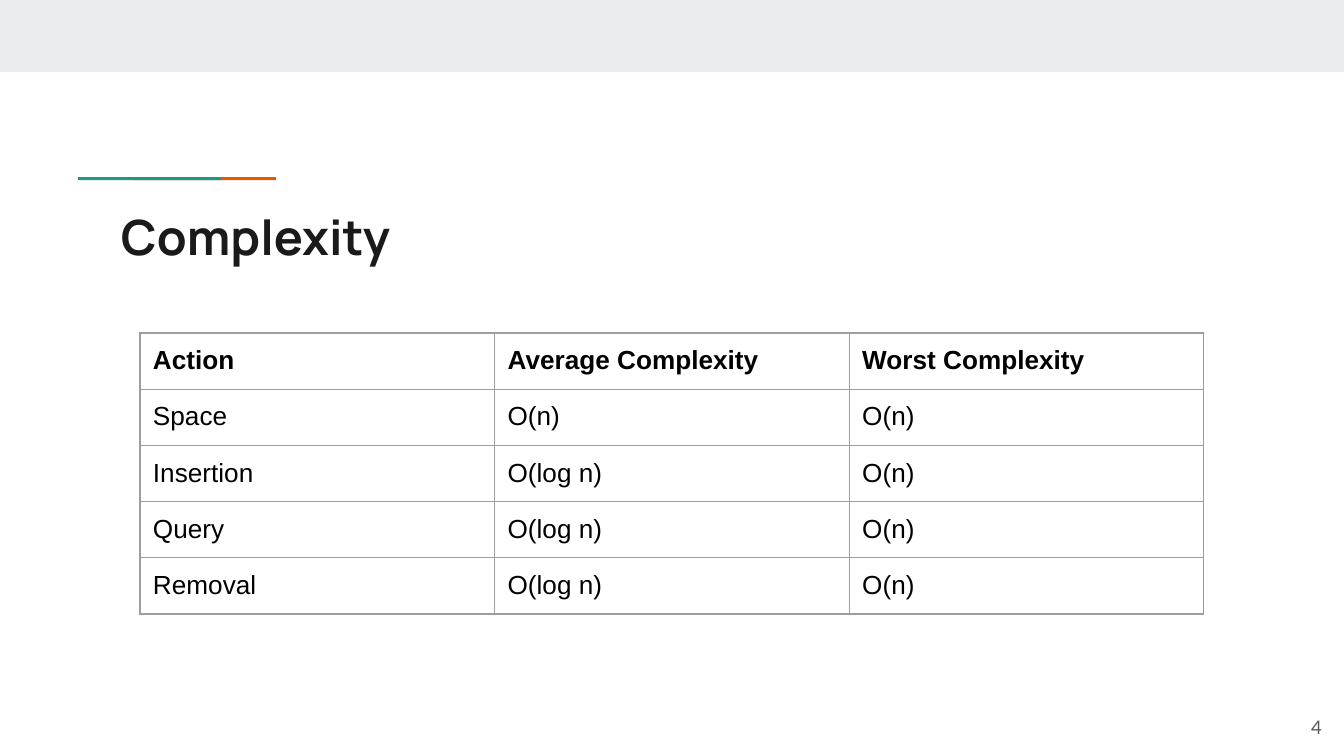
from dataclasses import dataclass

from lxml.etree import SubElement
from pptx import Presentation
from pptx.dml.color import RGBColor
from pptx.enum.shapes import MSO_SHAPE as Shape
from pptx.enum.text import MSO_ANCHOR as Anchor, PP_ALIGN as Align
from pptx.oxml.ns import qn
from pptx.slide import Slide
from pptx.table import _Cell as Cell
from pptx.text.text import TextFrame, _Paragraph as Para
from pptx.util import Emu, Pt

SCALE = 914400 / 134.4  # EMU in one px

MIST = RGBColor(0xE9, 0xED, 0xEE)
TEAL = RGBColor(0x1A, 0x99, 0x88)
ORANGE = RGBColor(0xEB, 0x56, 0x00)
INK = RGBColor(0x1A, 0x1A, 0x1A)
BLACK = RGBColor(0x00, 0x00, 0x00)
GREY = RGBColor(0x59, 0x59, 0x59)
RULE = RGBColor(0x9E, 0x9E, 0x9E)


def px(n: int) -> Emu:
    return Emu(round(n * SCALE))


PAD = px(13)
FOOT = px(11)  # less room below, so that rows keep their height


@dataclass(frozen=True)
class Box:
    left: int
    top: int
    width: int
    height: int

    def emu(self) -> tuple[Emu, ...]:
        return tuple(map(px, (self.left, self.top, self.width, self.height)))


@dataclass(frozen=True)
class Bar:
    box: Box
    color: RGBColor
    turn: int = 0


@dataclass(frozen=True)
class Style:
    font: str
    size: int
    color: RGBColor
    bold: bool = False


@dataclass(frozen=True)
class Label:
    text: str
    box: Box
    style: Style
    align: Align = Align.LEFT
    anchor: Anchor = Anchor.TOP


BARS = [
    Bar(Box(0, 0, 1344, 72), MIST),
    Bar(Box(203, 107, 3, 143), ORANGE, 270),
    Bar(Box(148, 107, 3, 143), TEAL, 270),
]
LABELS = [
    Label("Complexity", Box(108, 194, 1130, 79), Style("Manrope", 26, INK, True)),
    Label("4", Box(1254, 698, 81, 58), Style("Lato", 10, GREY),
          Align.RIGHT, Anchor.MIDDLE),
]
HEAD = Style("Arial", 14, BLACK, True)
BODY = Style("Arial", 14, BLACK)
ROWS = [
    ("Action", "Average Complexity", "Worst Complexity"),
    ("Space", "O(n)", "O(n)"),
    ("Insertion", "O(log n)", "O(n)"),
    ("Query", "O(log n)", "O(n)"),
    ("Removal", "O(log n)", "O(n)"),
]
GRID = Box(140, 333, 1064, 281)


def add_run(para: Para, text: str, style: Style) -> None:
    run = para.add_run()
    run.text = text
    font = run.font
    font.name, font.size, font.bold = style.font, Pt(style.size), style.bold
    font.color.rgb = style.color


def pad(item: TextFrame | Cell, foot: Emu = PAD) -> None:
    item.margin_left = item.margin_right = item.margin_top = PAD
    item.margin_bottom = foot


def draw_bar(slide: Slide, bar: Bar) -> None:
    shape = slide.shapes.add_shape(Shape.RECTANGLE, *bar.box.emu())
    shape.rotation = bar.turn
    shape.shadow.inherit = False
    shape.fill.solid()
    shape.fill.fore_color.rgb = bar.color
    shape.line.fill.background()


def draw_label(slide: Slide, label: Label) -> None:
    frame = slide.shapes.add_textbox(*label.box.emu()).text_frame
    frame.word_wrap = True
    frame.vertical_anchor = label.anchor
    pad(frame)
    para = frame.paragraphs[0]
    para.alignment = label.align
    add_run(para, label.text, label.style)


def add_edges(cell: Cell) -> None:
    """Rule all four sides; edges must come before the fill in the XML."""
    props = cell._tc.get_or_add_tcPr()
    for side in ("lnL", "lnR", "lnT", "lnB"):
        line = SubElement(props, qn(f"a:{side}"), w=str(Pt(0.75)))
        fill = SubElement(line, qn("a:solidFill"))
        SubElement(fill, qn("a:srgbClr"), val=str(RULE))


def draw_table(slide: Slide, box: Box, rows: list[tuple[str, ...]]) -> None:
    table = slide.shapes.add_table(len(rows), len(rows[0]), *box.emu()).table
    table.horz_banding = False
    for r, row in enumerate(rows):
        for c, text in enumerate(row):
            cell = table.cell(r, c)
            pad(cell, FOOT)
            add_edges(cell)
            cell.fill.background()
            add_run(cell.text_frame.paragraphs[0], text, BODY if r else HEAD)


def main() -> None:
    deck = Presentation()
    deck.slide_width, deck.slide_height = px(1344), px(756)
    slide = deck.slides.add_slide(deck.slide_layouts[6])
    for bar in BARS:
        draw_bar(slide, bar)
    for label in LABELS:
        draw_label(slide, label)
    draw_table(slide, GRID, ROWS)
    deck.save("out.pptx")


if __name__ == "__main__":
    main()
